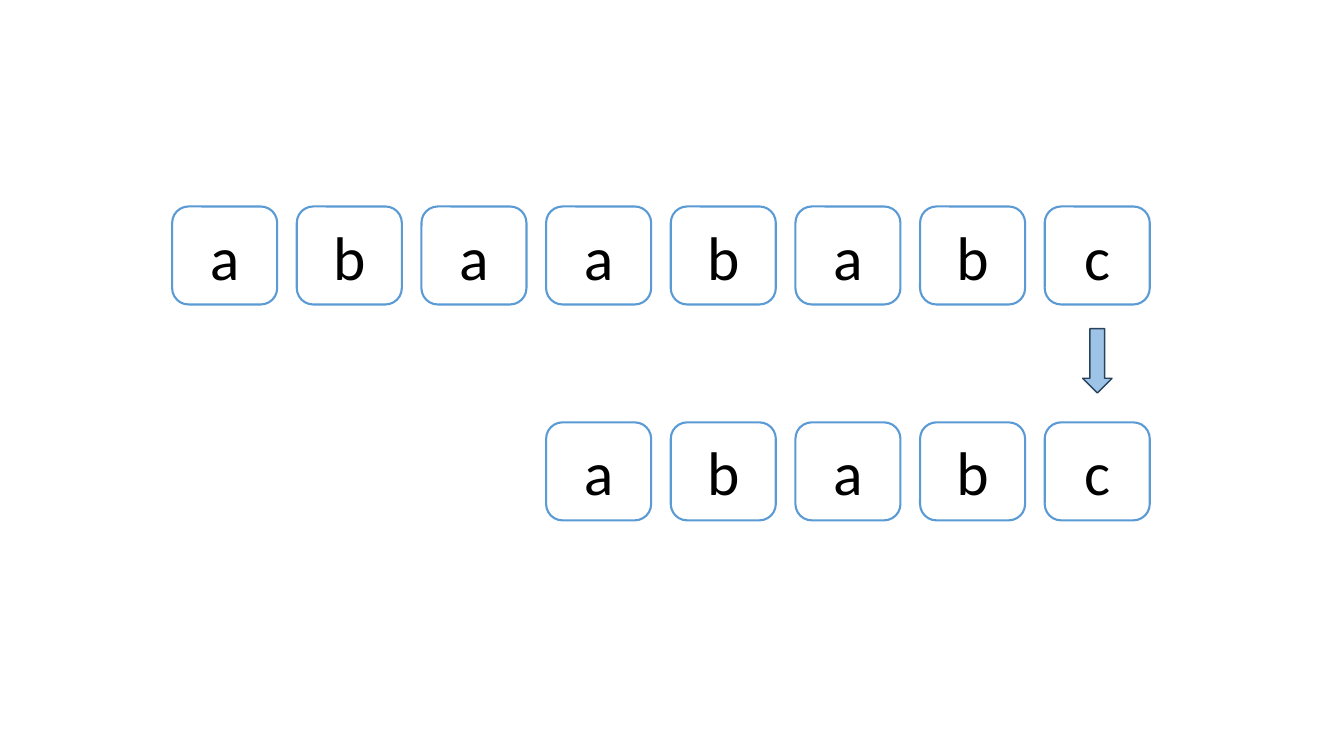
from pptx import Presentation
from pptx import util as u
from pptx.dml import color
from pptx.enum import shapes, text

CELL_W, CELL_H = 75, 70
PITCH = 89.04
LEFT = 123
TEXT_TOP, MATCH_TOP = 147.5, 301.7
STRING, PATTERN = "abaababc", "ababc"


def rgb(code):
    return color.RGBColor.from_string(code)


def draw(parent, kind, box, fill, line, width):
    """Add a preset shape in box (left, top, width, height), in points."""
    shape = parent.add_shape(kind, *map(u.Pt, box))
    shape.shadow.inherit = False
    shape.fill.solid()
    shape.fill.fore_color.rgb = rgb(fill)
    shape.line.color.rgb = rgb(line)
    shape.line.width = u.Pt(width)
    return shape


def letter(parent, char, box):
    cell = draw(parent, shapes.MSO_SHAPE.ROUNDED_RECTANGLE, box,
                "FFFFFF", "5B9BD5", 1.5)
    frame = cell.text_frame
    frame.text = char
    frame.vertical_anchor = text.MSO_ANCHOR.MIDDLE
    para = frame.paragraphs[0]
    para.alignment = text.PP_ALIGN.CENTER
    font = para.runs[0].font
    font.name = "Calibri"
    font.size = u.Pt(44)
    font.color.rgb = rgb("000000")


def row(slide, word, left, top):
    """Place one grouped row of letter cells."""
    group = slide.shapes.add_group_shape()
    for i, char in enumerate(word):
        letter(group.shapes, char, (left + i * PITCH, top, CELL_W, CELL_H))


def arrow(slide, mid, top, width, height):
    """Place a down arrow centred on mid."""
    draw(slide.shapes, shapes.MSO_SHAPE.DOWN_ARROW,
         (mid - width / 2, top, width, height), "9DC3E6", "28445D", 1)


def main():
    deck = Presentation()
    deck.slide_width, deck.slide_height = u.Pt(960), u.Pt(540)
    slide = deck.slides.add_slide(deck.slide_layouts[6])
    shift = len(STRING) - len(PATTERN)
    row(slide, STRING, LEFT, TEXT_TOP)
    row(slide, PATTERN, LEFT + shift * PITCH, MATCH_TOP)
    last = LEFT + (len(STRING) - 1) * PITCH
    arrow(slide, last + CELL_W / 2, 234.7, 21, 46)
    deck.save("out.pptx")


if __name__ == "__main__":
    main()
